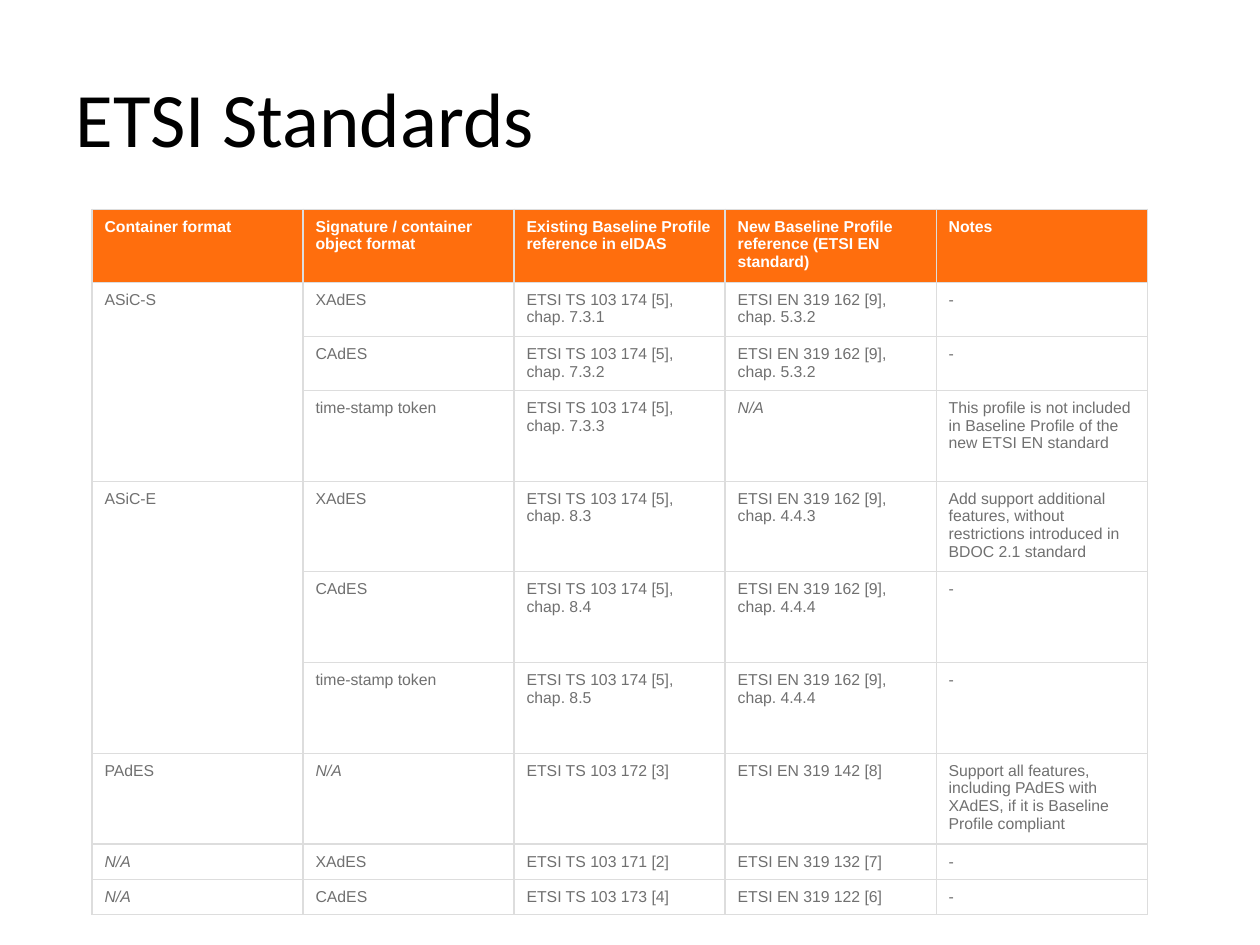
from pptx import Presentation
from pptx.dml.color import RGBColor
from pptx.enum import text
from pptx.oxml import parse_xml
from pptx.oxml.ns import nsdecls
from pptx.util import Inches, Pt

TITLE = "ETSI Standards"
HEADER = ["Container format", "Signature / container object format",
          "Existing Baseline Profile reference in eIDAS",
          "New Baseline Profile reference (ETSI EN standard)", "Notes"]
# None continues the cell above
ROWS = [
    ["ASiC-S", "XAdES", "ETSI TS 103 174 [5], chap. 7.3.1",
     "ETSI EN 319 162 [9], chap. 5.3.2", "-"],
    [None, "CAdES", "ETSI TS 103 174 [5], chap. 7.3.2",
     "ETSI EN 319 162 [9], chap. 5.3.2", "-"],
    [None, "time-stamp token", "ETSI TS 103 174 [5], chap. 7.3.3", "N/A",
     "This profile is not included in Baseline Profile of the new ETSI EN standard"],
    ["ASiC-E", "XAdES", "ETSI TS 103 174 [5], chap. 8.3",
     "ETSI EN 319 162 [9], chap. 4.4.3",
     "Add support additional features, without restrictions introduced in BDOC 2.1 standard"],
    [None, "CAdES", "ETSI TS 103 174 [5], chap. 8.4",
     "ETSI EN 319 162 [9], chap. 4.4.4", "-"],
    [None, "time-stamp token", "ETSI TS 103 174 [5], chap. 8.5",
     "ETSI EN 319 162 [9], chap. 4.4.4", "-"],
    ["PAdES", "N/A", "ETSI TS 103 172 [3]", "ETSI EN 319 142 [8]",
     "Support all features, including PAdES with XAdES, if it is Baseline Profile compliant"],
    ["N/A", "XAdES", "ETSI TS 103 171 [2]", "ETSI EN 319 132 [7]", "-"],
    ["N/A", "CAdES", "ETSI TS 103 173 [4]", "ETSI EN 319 122 [6]", "-"],
]
ROW_HEIGHTS = [0.58] + [0.43] * 2 + [0.72] * 5 + [0.28] * 2
LEFT, TOP, COL_WIDTH = 0.73, 1.66, 1.675
ORANGE, WHITE, GREY, BORDER = "FF6E0D", "FFFFFF", "707070", "DDDDDD"


def rgb(color):
    return RGBColor.from_string(color)


def write(tf, content, size=9, font="Arial", color=GREY, bold=False, italic=False):
    p = tf.paragraphs[0]
    p.alignment = text.PP_ALIGN.LEFT
    r = p.add_run()
    r.text = content
    r.font.size, r.font.name = Pt(size), font
    r.font.bold, r.font.italic = bold, italic
    r.font.color.rgb = rgb(color)


def style_cell(cell, fill):
    cell.margin_left = cell.margin_right = Inches(0.1)
    cell.margin_top = cell.margin_bottom = Inches(0.07)
    cell.vertical_anchor = text.MSO_ANCHOR.TOP
    cell.fill.solid()
    cell.fill.fore_color.rgb = rgb(fill)
    # Borders must precede the fill in tcPr
    for i, side in enumerate(("lnL", "lnR", "lnT", "lnB")):
        cell._tc.tcPr.insert(i, parse_xml(
            f'<a:{side} {nsdecls("a")} w="{Pt(0.75)}"><a:solidFill>'
            f'<a:srgbClr val="{BORDER}"/></a:solidFill></a:{side}>'))


def add_standards_table(s):
    rows = [HEADER] + ROWS
    table = s.shapes.add_table(
        len(rows), len(HEADER), Inches(LEFT), Inches(TOP),
        Inches(COL_WIDTH * len(HEADER)), Inches(sum(ROW_HEIGHTS))).table
    table.horz_banding = False
    for col in table.columns:
        col.width = Inches(COL_WIDTH)
    for row, height in zip(table.rows, ROW_HEIGHTS):
        row.height = Inches(height)
    for i, row in enumerate(rows):
        is_header = i == 0
        for j, content in enumerate(row):
            cell = table.cell(i, j)
            style_cell(cell, ORANGE if is_header else WHITE)
            if content is not None:
                write(cell.text_frame, content, bold=is_header,
                      color=WHITE if is_header else GREY, italic=content == "N/A")
    starts = [i for i, row in enumerate(rows) if row[0] is not None]
    for start, following in zip(starts, starts[1:]):
        if following - start > 1:
            table.cell(start, 0).merge(table.cell(following - 1, 0))


def main():
    prs = Presentation()
    prs.slide_width, prs.slide_height = Inches(10), Inches(7.5)
    s = prs.slides.add_slide(prs.slide_layouts[5])
    title = s.shapes.title
    title.left, title.top = Inches(0.5), Inches(0.3)
    title.width, title.height = Inches(9), Inches(1.25)
    title.text_frame.vertical_anchor = text.MSO_ANCHOR.MIDDLE
    write(title.text_frame, TITLE, size=44, font="Calibri", color="000000")
    add_standards_table(s)
    prs.save("out.pptx")


if __name__ == "__main__":
    main()
